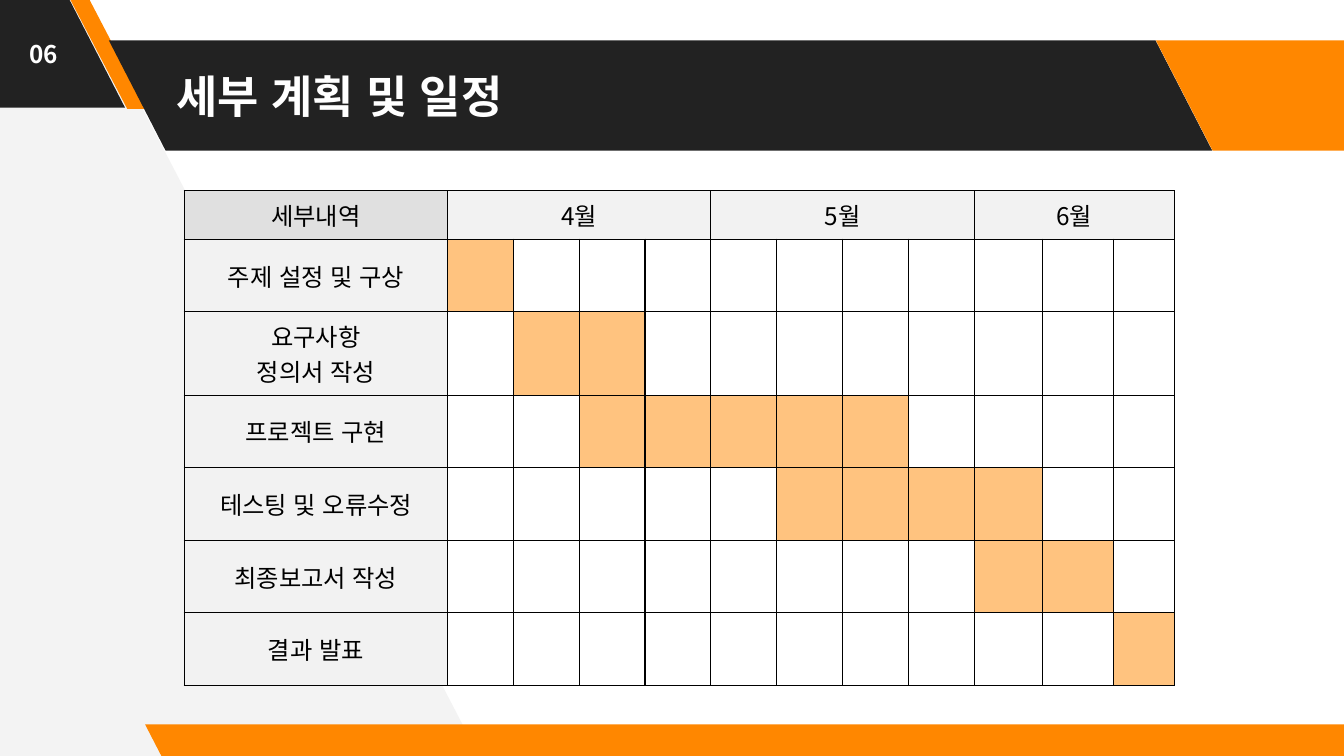
from lxml.etree import SubElement as Sub
from pptx import Presentation as Deck
from pptx.dml.color import RGBColor as Rgb
from pptx.enum.lang import MSO_LANGUAGE_ID as Lang
from pptx.enum.shapes import MSO_SHAPE as Kind
from pptx.enum.text import MSO_ANCHOR as Anchor, MSO_AUTO_SIZE as Auto, PP_ALIGN as Align
from pptx.oxml import parse_xml
from pptx.oxml.ns import nsdecls, qn
from pptx.util import Inches, Pt

FACE = "Noto Sans CJK KR"
DARK, ORANGE, PALE = "222222", "FF8700", "F3F3F3"
HEAD, LABEL, BAR = "E0E0E0", "F2F2F2", "FFC37F"

BANDS = [
    ((-0.99, -0.02, 1.92, 0.82), 0.515, DARK),
    ((0.52, -0.01, 0.57, 0.82), 0.75, ORANGE),
    ((0.81, 0.3, 8.21, 0.82), 0.515, DARK),
    ((8.6, 0.3, 1.92, 0.82), 0.515, ORANGE),
    ((1.08, 5.39, 9.15, 0.25), 0.515, ORANGE),
]
MONTHS = [("4월", 1, 4), ("5월", 5, 8), ("6월", 9, 11)]
TASKS = [
    ("주제 설정 및 구상", 1, 1),
    ("요구사항\n정의서 작성", 2, 3),
    ("프로젝트 구현", 3, 7),
    ("테스팅 및 오류수정", 6, 9),
    ("최종보고서 작성", 9, 10),
    ("결과 발표", 11, 11),
]
COLS = [1.96] + [0.49] * 8 + [0.51, 0.53, 0.45]
ROWS = [0.32] + [0.54] * len(TASKS)


def color(code):
    return Rgb.from_string(code)


def assign(item, style):
    for name, value in style.items():
        setattr(item, name, value)


def paint(item, code):
    item.fill.solid()
    item.fill.fore_color.rgb = color(code)


def finish(shape, code):
    paint(shape, code)
    shape.line.fill.background()
    shape.shadow.inherit = False


def write(frame, text, size, code, align, bold=False):
    frame.text = text
    for para in frame.paragraphs:
        para.alignment = align
        for run in para.runs:
            assign(run.font, {
                "size": Pt(size), "bold": bold, "name": FACE, "language_id": Lang.KOREAN,
            })
            run.font.color.rgb = color(code)
            for tag in ("a:ea", "a:cs"):
                Sub(run.font._element, qn(tag), typeface=FACE)


def add_panel(slide):
    dots = [(Inches(x), Inches(y)) for x, y in
            [(3.56, 5.62), (0.62, -0.04), (-0.06, -0.04), (-0.02, 5.66)]]
    pen = slide.shapes.build_freeform(*dots[0])
    pen.add_line_segments(dots[1:], close=True)
    finish(pen.convert_to_shape(), PALE)


def add_band(slide, box, slant, code):
    band = slide.shapes.add_shape(Kind.PARALLELOGRAM, *map(Inches, box))
    band.adjustments[0] = slant
    band._element.spPr.find(qn("a:xfrm")).set("flipH", "1")
    finish(band, code)


def set_text(shape, box, text, size, align):
    assign(shape, dict(zip(("left", "top", "width", "height"), map(Inches, box))))
    frame = shape.text_frame
    pad = Inches(0.1)
    assign(frame, {
        "word_wrap": True, "auto_size": Auto.NONE, "vertical_anchor": Anchor.MIDDLE,
        "margin_left": pad, "margin_right": pad, "margin_top": pad, "margin_bottom": pad,
    })
    write(frame, text, size, "FFFFFF", align, True)


def add_title(slide, text):
    title = slide.shapes.title
    slide.shapes._spTree.append(title._element)
    set_text(title, (1.21, 0.3, 7.35, 0.82), text, 24, Align.LEFT)


def add_number(slide, text):
    box = (0, 0, 0.65, 0.8)
    set_text(slide.shapes.add_textbox(*map(Inches, box)), box, text, 13, Align.CENTER)


def add_edges(cell):
    props = cell._tc.get_or_add_tcPr()
    for spot, side in enumerate(("lnL", "lnR", "lnT", "lnB")):
        props.insert(spot, parse_xml(
            f'<a:{side} {nsdecls("a")} w="{Pt(0.75)}"><a:solidFill>'
            f'<a:srgbClr val="000000"/></a:solidFill></a:{side}>'))


def fill_cell(cell, text, code, anchor=Anchor.MIDDLE):
    paint(cell, code)
    cell.vertical_anchor = anchor
    write(cell.text_frame, text, 13, "000000", Align.CENTER)


def add_plan(slide):
    box = (1.37, 1.42, sum(COLS), sum(ROWS))
    grid = slide.shapes.add_table(len(ROWS), len(COLS), *map(Inches, box)).table
    assign(grid, {"first_row": False, "horz_banding": False})
    for col, width in zip(grid.columns, COLS):
        col.width = Inches(width)
    for row, height in zip(grid.rows, ROWS):
        row.height = Inches(height)
    for cell in grid.iter_cells():
        cell.fill.background()
        add_edges(cell)
    fill_cell(grid.cell(0, 0), "세부내역", HEAD, Anchor.TOP)
    for name, first, last in MONTHS:
        grid.cell(0, first).merge(grid.cell(0, last))
        fill_cell(grid.cell(0, first), name, LABEL, Anchor.TOP)
    for row, (name, first, last) in enumerate(TASKS, 1):
        fill_cell(grid.cell(row, 0), name, LABEL)
        for col in range(first, last + 1):
            paint(grid.cell(row, col), BAR)


def main():
    deck = Deck()
    wide = Inches(10)
    assign(deck, {"slide_width": wide, "slide_height": wide * 9 // 16})
    slide = deck.slides.add_slide(deck.slide_layouts[5])
    add_panel(slide)
    for band in BANDS:
        add_band(slide, *band)
    add_title(slide, "세부 계획 및 일정")
    add_number(slide, "06")
    add_plan(slide)
    deck.save("out.pptx")


if __name__ == "__main__":
    main()
